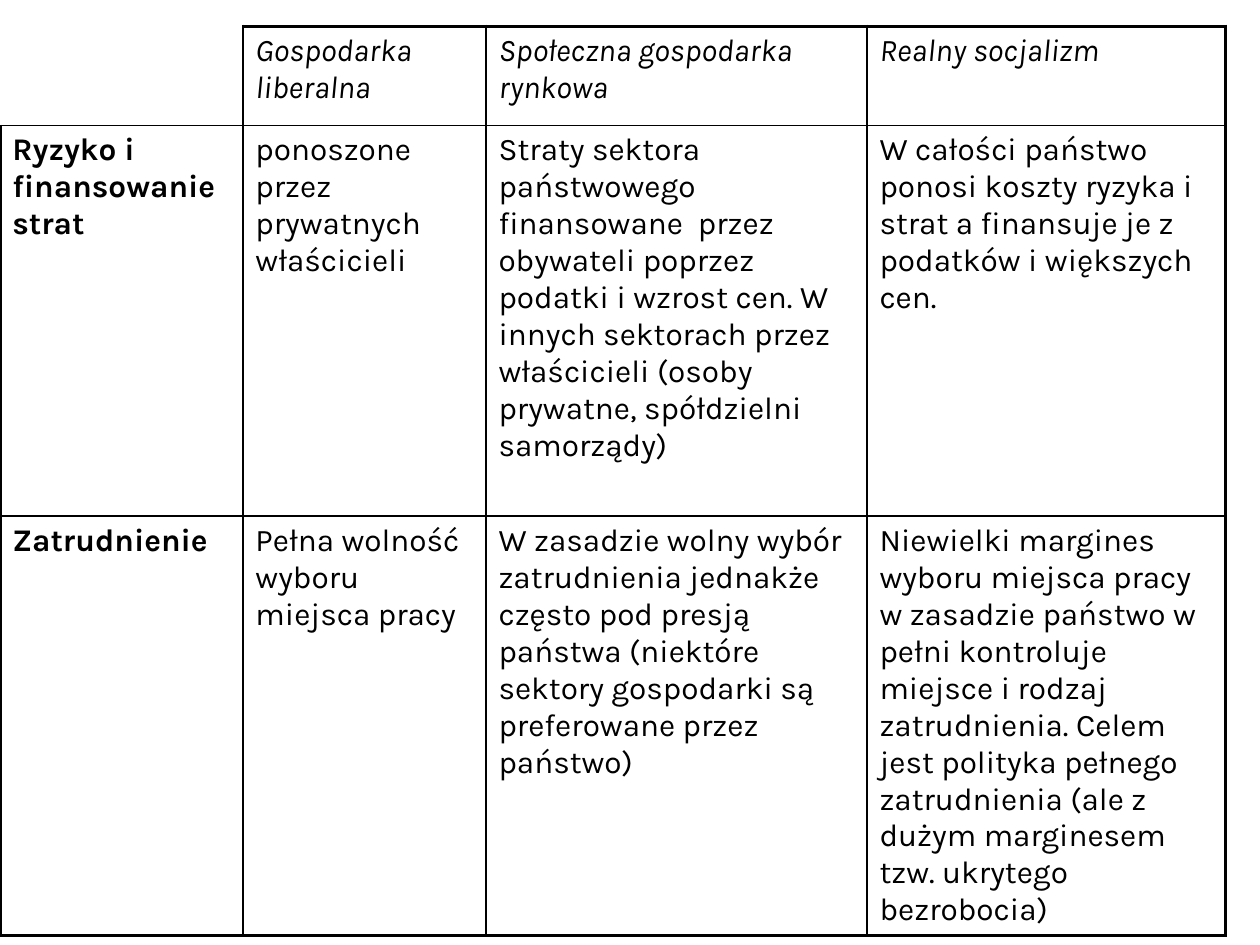
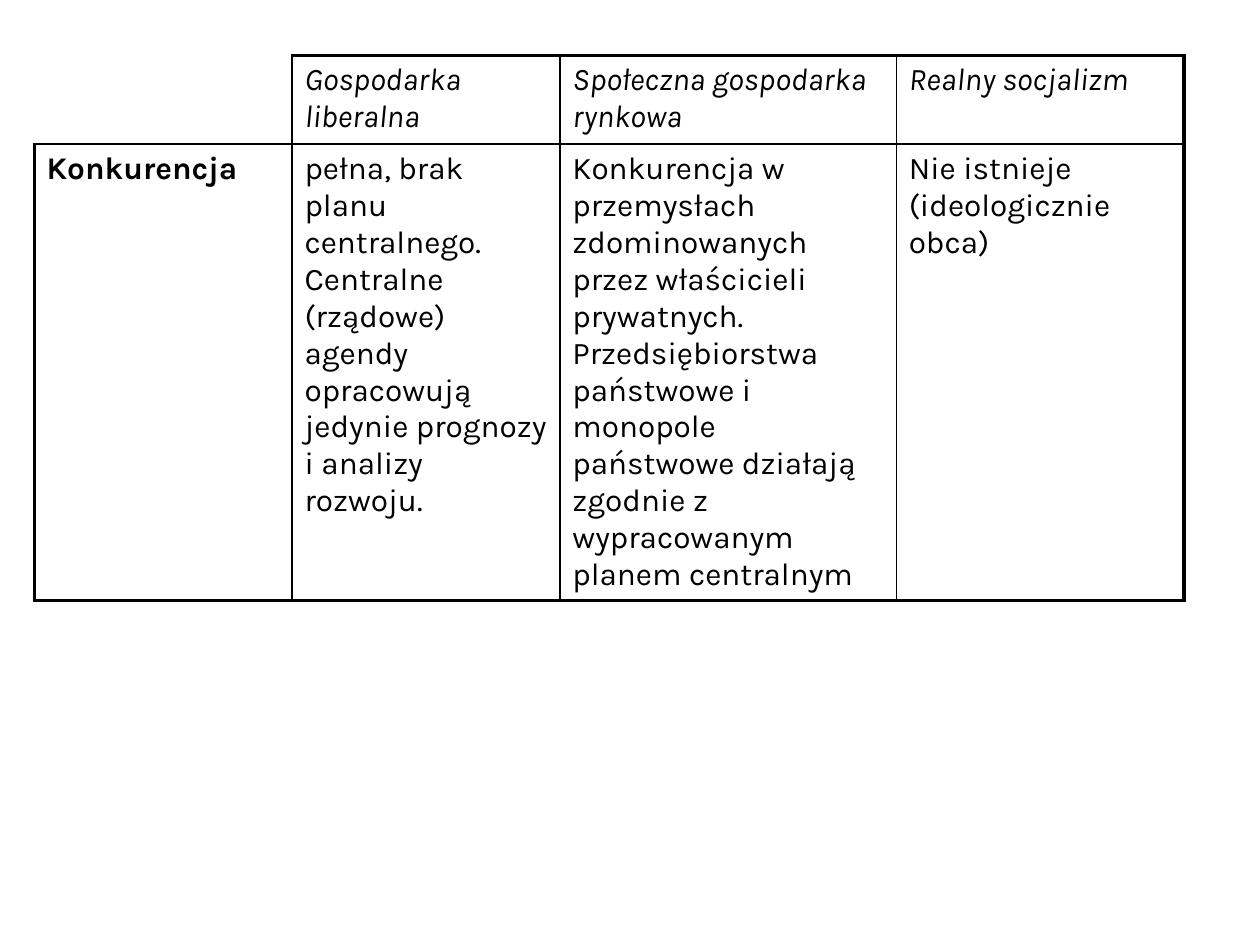
from lxml import etree
from pptx import Presentation
from pptx.dml.color import RGBColor
from pptx.enum.text import MSO_ANCHOR
from pptx.oxml.ns import qn
from pptx.util import Cm, Pt

BLACK = RGBColor(0x00, 0x00, 0x00)
TOP = MSO_ANCHOR.TOP
THIN, THICK = Pt(1), Pt(2.25)
BLANK_LAYOUT = 6

# Shared formats
CELL_FORMAT = {
    "margin_left": Cm(0.25), "margin_right": Cm(0.25),
    "margin_top": Cm(0.13), "margin_bottom": Cm(0.13),
    "vertical_anchor": TOP,
}
FONT_FORMAT = {"name": "Karla", "size": Pt(18)}
HEADER = ["", "Gospodarka liberalna", "Społeczna gospodarka rynkowa", "Realny socjalizm"]

# Content: one table per slide, lengths in centimetres
TABLES = [
    {
        "left": 0, "top": 0.53,
        "widths": [4.9, 4.9, 7.68, 7.22],
        "heights": [2, 7.87, 7.87],
        "rows": [
            ["Ryzyko i finansowanie strat",
             "ponoszone przez prywatnych właścicieli",
             "Straty sektora państwowego finansowane  przez obywateli poprzez podatki "
             "i wzrost cen. W innych sektorach przez właścicieli (osoby prywatne, "
             "spółdzielni samorządy)",
             "W całości państwo ponosi koszty ryzyka i strat a finansuje je z podatków "
             "i większych cen."],
            ["Zatrudnienie",
             "Pełna wolność wyboru miejsca pracy",
             "W zasadzie wolny wybór zatrudnienia jednakże często pod presją państwa "
             "(niektóre sektory gospodarki są preferowane przez państwo)",
             "Niewielki margines wyboru miejsca pracy w zasadzie państwo w pełni "
             "kontroluje miejsce i rodzaj zatrudnienia. Celem jest polityka pełnego "
             "zatrudnienia (ale z dużym marginesem tzw. ukrytego bezrobocia)"],
        ],
    },
    {
        "left": 0.69, "top": 1.12,
        "widths": [5.2, 5.4, 6.78, 5.8],
        "heights": [1.78, 8.64],
        "rows": [
            ["Konkurencja",
             "pełna, brak planu centralnego. Centralne (rządowe) agendy opracowują "
             "jedynie prognozy i analizy rozwoju.",
             "Konkurencja w przemysłach zdominowanych przez właścicieli prywatnych. "
             "Przedsiębiorstwa państwowe i monopole państwowe działają zgodnie "
             "z wypracowanym planem centralnym",
             "Nie istnieje (ideologicznie obca)"],
        ],
    },
]


def set_border(cell, side, width):
    """Draw one cell edge; a width of 0 leaves it open."""
    ln = etree.SubElement(cell._tc.get_or_add_tcPr(), qn(f"a:ln{side}"), w=str(int(width)))
    if width:
        fill = etree.SubElement(ln, qn("a:solidFill"))
        etree.SubElement(fill, qn("a:srgbClr"), val=str(BLACK))
    else:
        etree.SubElement(ln, qn("a:noFill"))


prs = Presentation()
prs.slide_width, prs.slide_height = Cm(25.4), Cm(19.05)

for spec_table in TABLES:
    s = prs.slides.add_slide(prs.slide_layouts[BLANK_LAYOUT])
    widths, heights = spec_table["widths"], spec_table["heights"]
    rows = [HEADER] + spec_table["rows"]
    last_row, last_col = len(heights) - 1, len(widths) - 1

    # Table grid without the default style bands
    table = s.shapes.add_table(
        len(heights), len(widths), Cm(spec_table["left"]), Cm(spec_table["top"]),
        Cm(sum(widths)), Cm(sum(heights))).table
    table.first_row = table.horz_banding = False
    for column, width in zip(table.columns, widths):
        column.width = Cm(width)
    for row, height in zip(table.rows, heights):
        row.height = Cm(height)

    for i, texts in enumerate(rows):
        for j, text in enumerate(texts):
            cell = table.cell(i, j)
            for name, value in CELL_FORMAT.items():
                setattr(cell, name, value)

            # Text: italic column heads, bold row heads
            p = cell.text_frame.paragraphs[0]
            if text:
                p.text = text
            for name, value in FONT_FORMAT.items():
                setattr(p.font, name, value)
            p.font.color.rgb = BLACK
            p.font.italic = i == 0
            p.font.bold = j == 0

            # Thick outer frame, thin inner lines, open top left corner
            corner = i == 0 and j == 0
            outer = 0 if corner else THICK
            set_border(cell, "L", outer if j == 0 else THIN)
            set_border(cell, "R", THICK if j == last_col else THIN)
            set_border(cell, "T", outer if i == 0 else THIN)
            set_border(cell, "B", THICK if i == last_row else THIN)
            cell.fill.background()

prs.save("out.pptx")
